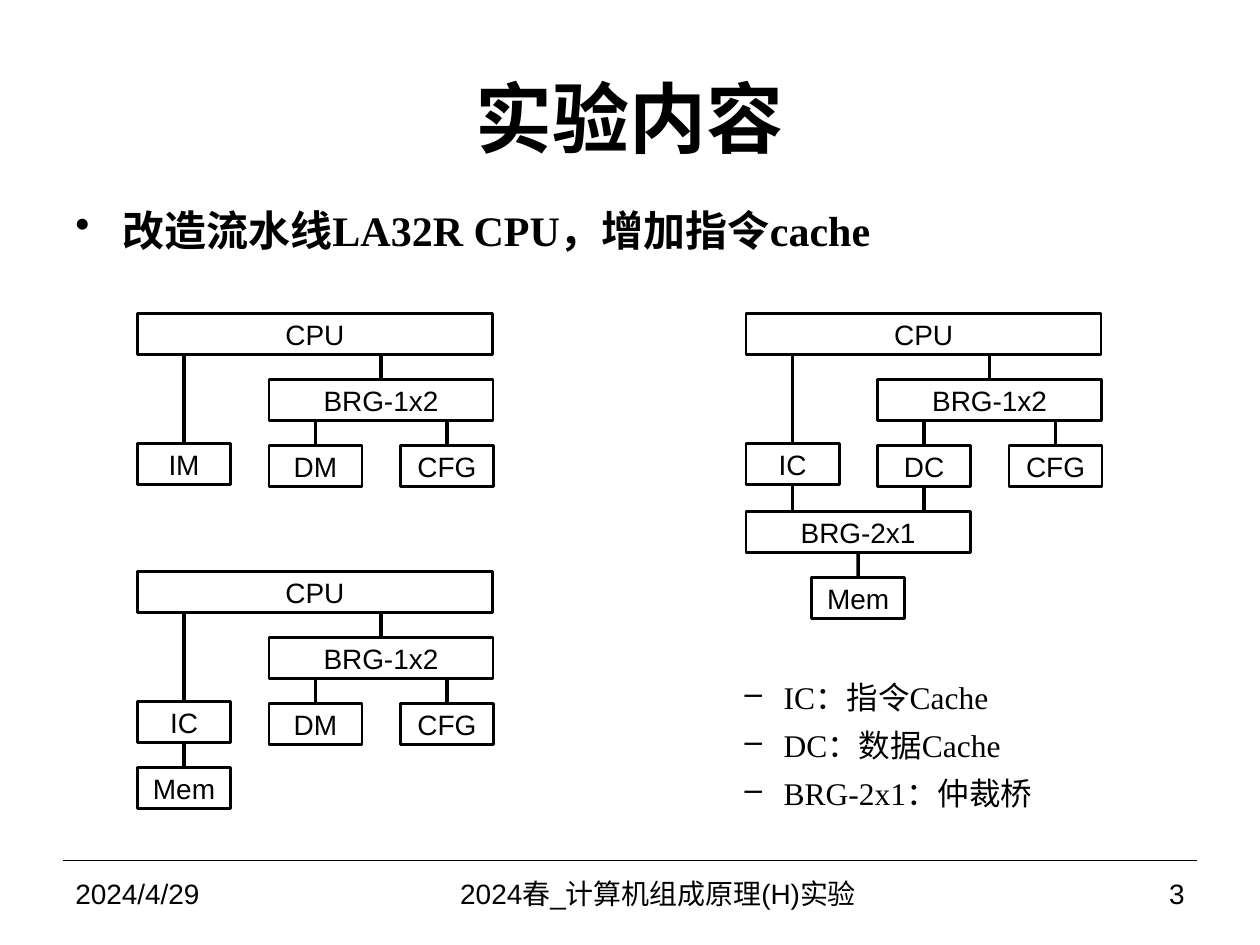
import pptx
import pptx.util
import pptx.dml.color
import pptx.enum.shapes
import pptx.enum.text
import pptx.oxml.ns
import lxml.etree

Cm = pptx.util.Cm
Pt = pptx.util.Pt
ALIGN = pptx.enum.text.PP_ALIGN
MIDDLE = pptx.enum.text.MSO_ANCHOR.MIDDLE
BLACK = pptx.dml.color.RGBColor(0, 0, 0)

BLOCK_HEIGHT = 0.83
UNIT_WIDTH = 1.88
BRIDGE_WIDTH = 4.52
CPU_WIDTH = 7.16
COLUMN_STEP = 2.65
ROW_STEP = 1.33
UNIT_RAISE = 0.04


def style_font(font, size, name="Arial", bold=False):
    font.size = Pt(size)
    font.name = name
    font.bold = bold
    font.color.rgb = BLACK


def add_line(shapes, start_x, start_y, end_x, end_y, weight):
    line = shapes.add_connector(
        pptx.enum.shapes.MSO_CONNECTOR.STRAIGHT, start_x, start_y, end_x, end_y)
    line.line.color.rgb = BLACK
    line.line.width = Pt(weight)
    lxml.etree.SubElement(line._element.spPr, pptx.oxml.ns.qn("a:effectLst"))
    return line


def add_text(page, left, top, width, height, lines, size, name="Arial", bold=False):
    box = page.shapes.add_textbox(Cm(left), Cm(top), Cm(width), Cm(height))
    frame = box.text_frame
    frame.word_wrap = True
    frame.text = "\n".join(lines)
    for para in frame.paragraphs:
        style_font(para.font, size, name, bold)
    return frame


def add_bullets(frame, symbol, margin, hanging):
    for para in frame.paragraphs:
        para.space_before = Pt(6)
        properties = para._p.get_or_add_pPr()
        properties.set("marL", str(Cm(margin)))
        properties.set("indent", str(-Cm(hanging)))
        bullet = properties.makeelement(pptx.oxml.ns.qn("a:buChar"), {"char": symbol})
        properties.find(pptx.oxml.ns.qn("a:defRPr")).addprevious(bullet)


def add_title(page, left, top, width, height):
    title = page.shapes.title
    title.left, title.top = Cm(left), Cm(top)
    title.width, title.height = Cm(width), Cm(height)
    frame = title.text_frame
    frame.text = "实验内容"
    frame.vertical_anchor = MIDDLE
    frame.paragraphs[0].alignment = ALIGN.CENTER
    style_font(frame.paragraphs[0].font, 44, bold=True)


def add_block(group, label, left, top, width=UNIT_WIDTH):
    block = group.shapes.add_shape(
        pptx.enum.shapes.MSO_SHAPE.RECTANGLE,
        Cm(left), Cm(top), Cm(width), Cm(BLOCK_HEIGHT))
    block.shadow.inherit = False
    block.fill.background()
    block.line.color.rgb = BLACK
    block.line.width = Pt(1.5)
    frame = block.text_frame
    frame.margin_left = frame.margin_right = frame.margin_top = frame.margin_bottom = 0
    frame.word_wrap = False
    frame.vertical_anchor = MIDDLE
    frame.text = label
    frame.paragraphs[0].alignment = ALIGN.CENTER
    style_font(frame.paragraphs[0].font, 16)
    return block


def add_wire(group, upper, lower):
    narrow = min(upper, lower, key=lambda block: block.width)
    middle = narrow.left + narrow.width // 2
    wire = add_line(group.shapes, middle, upper.top + upper.height, middle, lower.top, 2)
    for block, join, site in ((upper, wire.begin_connect, 2), (lower, wire.end_connect, 0)):
        if abs(block.left + block.width // 2 - middle) < Cm(0.01):
            join(block, site)


def add_processor(page, left, top, instruction_label, data_label):
    group = page.shapes.add_group_shape()
    unit_top = top + 2 * ROW_STEP
    cpu = add_block(group, "CPU", left, top, CPU_WIDTH)
    bridge = add_block(group, "BRG-1x2", left + COLUMN_STEP, top + ROW_STEP, BRIDGE_WIDTH)
    instruction = add_block(group, instruction_label, left, unit_top - UNIT_RAISE)
    data = add_block(group, data_label, left + COLUMN_STEP, unit_top)
    config = add_block(group, "CFG", left + 2 * COLUMN_STEP, unit_top)
    for upper, lower in ((cpu, instruction), (cpu, bridge), (bridge, data), (bridge, config)):
        add_wire(group, upper, lower)
    return group, instruction, data


def add_instruction_memory(page, left, top):
    group, instruction, data = add_processor(page, left, top, "IC", "DM")
    memory = add_block(group, "Mem", left, top + 3 * ROW_STEP - UNIT_RAISE)
    add_wire(group, instruction, memory)


def add_shared_memory(page, left, top):
    group, instruction, data = add_processor(page, left, top, "IC", "DC")
    arbiter = add_block(group, "BRG-2x1", left, top + 3 * ROW_STEP, BRIDGE_WIDTH)
    memory_left = left + (BRIDGE_WIDTH - UNIT_WIDTH) / 2
    memory = add_block(group, "Mem", memory_left, top + 4 * ROW_STEP)
    for upper, lower in ((instruction, arbiter), (data, arbiter), (arbiter, memory)):
        add_wire(group, upper, lower)


def add_footer(page, left, top, width, height):
    add_line(page.shapes, Cm(left), Cm(top), Cm(left + width), Cm(top), 0.75)
    side_width, middle_width = 5.92, 12.28
    number_width = width - side_width - middle_width
    parts = (
        ("2024/4/29", side_width, ALIGN.LEFT),
        ("2024春_计算机组成原理(H)实验 ", middle_width, ALIGN.CENTER),
        ("3", number_width, ALIGN.RIGHT),
    )
    for text, part_width, alignment in parts:
        frame = add_text(page, left, top, part_width, height, [text], 16)
        frame.vertical_anchor = MIDDLE
        frame.paragraphs[0].alignment = alignment
        left += part_width


def main():
    deck = pptx.Presentation()
    deck.slide_width, deck.slide_height = Cm(25.4), Cm(19.05)
    page = deck.slides.add_slide(deck.slide_layouts.get_by_name("Title Only"))
    add_title(page, 1.27, 0.76, 22.86, 3.18)
    task = add_text(page, 1.27, 3.99, 22.86, 1.6,
                    ["改造流水线LA32R CPU，增加指令cache"], 24, "Times New Roman", True)
    add_bullets(task, "•", 0.95, 0.95)
    add_processor(page, 2.77, 6.32, "IM", "DM")
    add_shared_memory(page, 15.04, 6.32)
    add_instruction_memory(page, 2.77, 11.52)
    legend = add_text(page, 13.49, 13.54, 9.45, 3.4,
                      ["IC：指令Cache", "DC：数据Cache", "BRG-2x1：仲裁桥"],
                      18, "Times New Roman")
    add_bullets(legend, "–", 2.06, 0.79)
    add_footer(page, 1.27, 17.35, 22.86, 1.32)
    deck.save("out.pptx")


if __name__ == "__main__":
    main()
